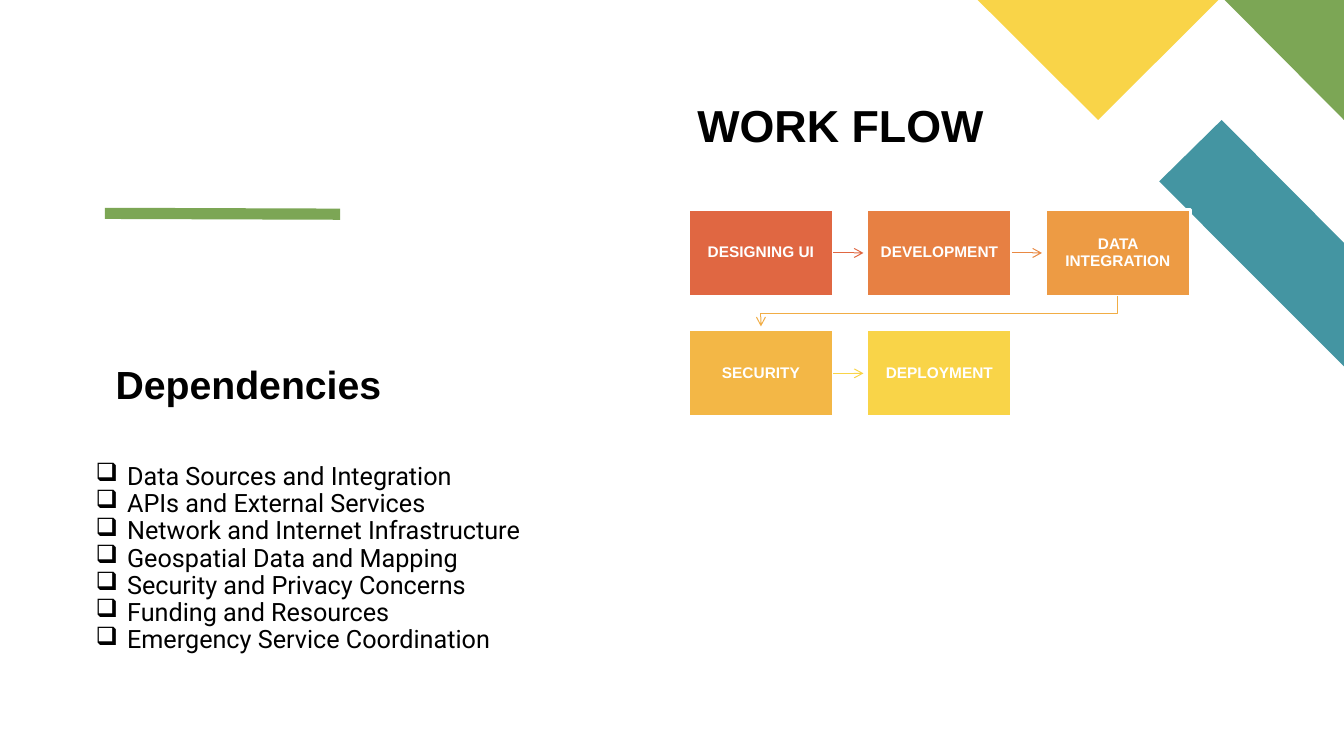
import dataclasses

import lxml.etree
import pptx
import pptx.dml.color
import pptx.enum.shapes
import pptx.enum.text
import pptx.oxml.ns
import pptx.util

Pt = pptx.util.Pt
qn = pptx.oxml.ns.qn


@dataclasses.dataclass(frozen=True)
class Theme:
    black: str = "000000"
    white: str = "FFFFFF"
    green: str = "7CA655"
    teal: str = "4495A2"
    yellow: str = "F9D448"
    steps: tuple = ("E06742", "E78043", "ED9B44", "F3B746", "F9D448")
    arrows: tuple = ("E06742", "E98943", "F1AD45", "F9D448")
    heading_font: str = "Arial"
    body_font: str = "Roboto"
    title_size: float = 32
    subtitle_size: float = 28
    body_size: float = 18
    step_size: float = 11


THEME = Theme()
STEPS = ("DESIGNING UI", "DEVELOPMENT", "DATA INTEGRATION", "SECURITY", "DEPLOYMENT")
DEPENDENCIES = (
    "Data Sources and Integration",
    "APIs and External Services",
    "Network and Internet Infrastructure",
    "Geospatial Data and Mapping",
    "Security and Privacy Concerns",
    "Funding and Resources",
    "Emergency Service Coordination",
)


def rgb(color):
    return pptx.dml.color.RGBColor.from_string(color)


def set_line(item, color, width, arrow=False):
    item.line.color.rgb = rgb(color)
    item.line.width = Pt(width)
    if arrow:
        line = item.line._get_or_add_ln()
        lxml.etree.SubElement(line, qn("a:tailEnd"), type="arrow")


def add_straight(slide, start, end, color, width, arrow=False):
    straight = slide.shapes.add_connector(
        pptx.enum.shapes.MSO_CONNECTOR.STRAIGHT, *map(Pt, start + end))
    set_line(straight, color, width, arrow)
    lxml.etree.SubElement(straight._element.spPr, qn("a:effectLst"))
    return straight


def add_outline(slide, points, closed):
    corners = [(Pt(x), Pt(y)) for x, y in points]
    builder = slide.shapes.build_freeform(*corners[0])
    builder.add_line_segments(corners[1:], close=closed)
    outline = builder.convert_to_shape()
    outline.shadow.inherit = False
    return outline


def style_paragraph(paragraph, font, size, color, bold):
    paragraph.line_spacing = 0.9
    paragraph.font.name = font
    paragraph.font.size = Pt(size)
    paragraph.font.color.rgb = rgb(color)
    paragraph.font.bold = bold


def add_bullet(paragraph, indent):
    paragraph.line_spacing = 0.9
    properties = paragraph._p.get_or_add_pPr()
    properties.set("marL", str(Pt(indent)))
    properties.set("indent", str(-Pt(indent)))
    bullet_color = lxml.etree.SubElement(properties, qn("a:buClr"))
    lxml.etree.SubElement(bullet_color, qn("a:srgbClr"), val=THEME.black)
    lxml.etree.SubElement(properties, qn("a:buChar"), char="❑")


def add_text(slide, box, lines, font, size, bold=False, indent=None):
    frame = slide.shapes.add_textbox(*map(Pt, box)).text_frame
    frame.word_wrap = True
    frame.text = "\n".join(lines)
    for paragraph in frame.paragraphs:
        if indent:
            add_bullet(paragraph, indent)
        style_paragraph(paragraph, font, size, THEME.black, bold)


def draw_corner(slide, box):
    """Coloured bands in the top right corner."""
    left, top, width, height = box
    right = left + width
    bands = (
        (THEME.teal, ((right, top + height), (right, top + 173.5),
                      (left + 174.2, top + 85.7), (left + 129.6, top + 129.6))),
        (THEME.green, ((right, top + 85.7), (right, top), (left + 176.4, top))),
        (THEME.yellow, ((left, top), (left + 86, top + 85.7), (left + 172, top))),
    )
    for color, points in bands:
        band = add_outline(slide, points, closed=True)
        band.fill.solid()
        band.fill.fore_color.rgb = rgb(color)
        band.line.fill.background()


def add_step(slide, box, label, color):
    step = slide.shapes.add_shape(
        pptx.enum.shapes.MSO_SHAPE.RECTANGLE, *map(Pt, box))
    step.shadow.inherit = False
    step.fill.solid()
    step.fill.fore_color.rgb = rgb(color)
    set_line(step, THEME.white, 2)
    frame = step.text_frame
    frame.word_wrap = True
    frame.margin_left = frame.margin_right = Pt(6.5)
    frame.margin_top = frame.margin_bottom = Pt(6.5)
    frame.vertical_anchor = pptx.enum.text.MSO_ANCHOR.MIDDLE
    frame.text = label
    paragraph = frame.paragraphs[0]
    paragraph.alignment = pptx.enum.text.PP_ALIGN.CENTER
    style_paragraph(paragraph, THEME.heading_font, THEME.step_size, THEME.white, True)
    return step


def draw_workflow(slide, box):
    """Steps in rows of three, each joined to the next by an arrow."""
    left, top, width, height = box
    columns, gap, tip_gap = 3, 24, 2.5
    step_width = (width - gap * (columns - 1)) / columns
    step_height = (height - gap) / 2

    def corner(index):
        row, column = divmod(index, columns)
        return left + column * (step_width + gap), top + row * (step_height + gap)

    steps = [add_step(slide, (*corner(index), step_width, step_height), label, color)
             for index, (label, color) in enumerate(zip(STEPS, THEME.steps))]

    for index, color in enumerate(THEME.arrows):
        x, y = corner(index)
        next_x, next_y = corner(index + 1)
        if next_y == y:
            middle = y + step_height / 2
            arrow = add_straight(slide, (x + step_width, middle),
                                 (next_x - tip_gap, middle), color, 0.75, arrow=True)
            arrow.begin_connect(steps[index], 3)
        else:
            bottom = y + step_height
            start_x, end_x = x + step_width / 2, next_x + step_width / 2
            turn = add_outline(slide, (
                (start_x, bottom), (start_x, bottom + gap / 2),
                (end_x, bottom + gap / 2), (end_x, next_y - tip_gap)), closed=False)
            turn.fill.background()
            set_line(turn, color, 0.75, arrow=True)


def draw_dependencies(slide, box):
    """Heading above a list with box bullets."""
    left, top, width, height = box
    add_text(slide, (left + 14.4, top, 232.6, 38), ["Dependencies"],
             THEME.heading_font, THEME.subtitle_size, bold=True)
    add_text(slide, (left, top + 69.8, width, height - 69.8), DEPENDENCIES,
             THEME.body_font, THEME.body_size, indent=22.5)


def main():
    deck = pptx.Presentation()
    deck.slide_width, deck.slide_height = Pt(960), Pt(540)
    slide = deck.slides.add_slide(deck.slide_layouts[6])

    # Decoration
    add_straight(slide, (75, 152.4), (243, 153), THEME.green, 8)
    draw_corner(slide, (698.4, 0, 261.6, 261.7))

    # Content
    add_text(slide, (491, 70.6, 298.8, 42.5), ["WORK FLOW"],
             THEME.heading_font, THEME.title_size, bold=True)
    draw_workflow(slide, (491.8, 149.7, 358.5, 148))
    draw_dependencies(slide, (61.2, 257.8, 514, 214.5))

    deck.save("out.pptx")


if __name__ == "__main__":
    main()
